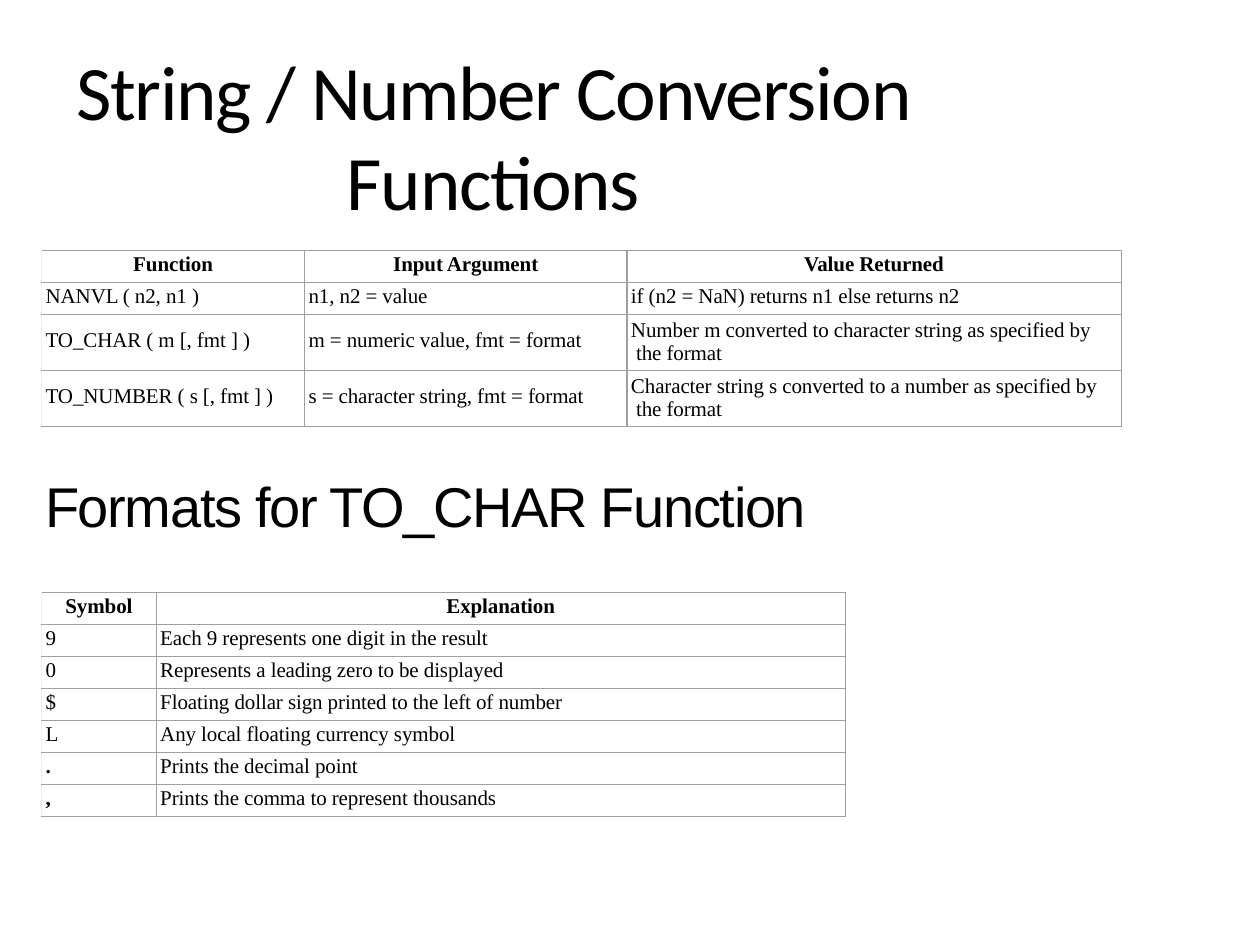
from dataclasses import dataclass

from lxml.etree import SubElement
from pptx import Presentation
from pptx.dml.color import RGBColor
from pptx.enum.text import MSO_ANCHOR, MSO_AUTO_SIZE, PP_ALIGN
from pptx.oxml.ns import qn
from pptx.util import Cm, Pt

BLACK = RGBColor(0x00, 0x00, 0x00)
GREY = RGBColor(0x9F, 0x9F, 0x9F)
PALE = RGBColor(0xEF, 0xEF, 0xEF)

LOW, HIGH = 0.645, 1.13  # row heights in cm for one and two lines of text


@dataclass
class Grid:
    top: float
    cols: list[float]
    rows: list[list[str]]
    bold: str = ""  # symbols set in bold below the header


CALLS = Grid(5.05, [5.3, 6.5, 9.96], [
    ["Function", "Input Argument", "Value Returned"],
    ["NANVL ( n2, n1 )", "n1, n2 = value", "if (n2 = NaN) returns n1 else returns n2"],
    ["TO_CHAR ( m [, fmt ] )", "m = numeric value, fmt = format",
     "Number m converted to character string as specified by\v the format"],
    ["TO_NUMBER ( s [, fmt ] )", "s = character string, fmt = format",
     "Character string s converted to a number as specified by\v the format"],
])
SIGNS = Grid(11.94, [2.31, 13.89], [
    ["Symbol", "Explanation"],
    ["9", "Each 9 represents one digit in the result"],
    ["0", "Represents a leading zero to be displayed"],
    ["$", "Floating dollar sign printed to the left of number"],
    ["L", "Any local floating currency symbol"],
    [".", "Prints the decimal point"],
    [",", "Prints the comma to represent thousands"],
], bold=".,")


def style(para, font: str, size: float, space: int, bold: bool = False) -> None:
    """Set the font, and the letter spacing in hundredths of a point."""
    para.font.name, para.font.size = font, Pt(size)
    para.font.bold, para.font.color.rgb = bold, BLACK
    for run in para.runs:
        run.font.name = font
        run._r.get_or_add_rPr().set("spc", str(space))


def inset(item, left: float, top: float) -> None:
    item.margin_left, item.margin_top = Cm(left), Cm(top)
    item.margin_right = item.margin_bottom = 0


def edge(cell, first: bool) -> None:
    """Draw the four borders, with a paler one on the table's left side."""
    props = cell._tc.get_or_add_tcPr()
    for spot, side in enumerate("LRTB"):
        line = SubElement(props, qn(f"a:ln{side}"), w=str(Pt(0.75)))
        fill = SubElement(line, qn("a:solidFill"))
        tone = PALE if first and side == "L" else GREY
        SubElement(fill, qn("a:srgbClr"), val=str(tone))
        props.insert(spot, line)


def draw(slide, grid: Grid) -> None:
    highs = [HIGH if any("\v" in text for text in row) else LOW for row in grid.rows]
    frame = slide.shapes.add_table(
        len(grid.rows), len(grid.cols), Cm(0.84), Cm(grid.top),
        Cm(sum(grid.cols)), Cm(sum(highs)))
    table = frame.table
    table.first_row = table.horz_banding = False
    for col, width in zip(table.columns, grid.cols):
        col.width = Cm(width)
    for r, (row, high) in enumerate(zip(grid.rows, highs)):
        table.rows[r].height = Cm(high)
        for c, text in enumerate(row):
            cell = table.cell(r, c)
            cell.text = text
            cell.fill.background()
            cell.vertical_anchor = MSO_ANCHOR.TOP
            pad = 0.05 if high == LOW else 0.08 if "\v" in text else 0.28
            inset(cell, 0.08 if r else 0, pad)
            para = cell.text_frame.paragraphs[0]
            para.alignment = PP_ALIGN.LEFT if r else PP_ALIGN.CENTER
            style(para, "Times New Roman", 12, -5, r == 0 or text in list(grid.bold))
            edge(cell, c == 0)


def label(shape, text: str, box: tuple, font: str, size: float, top: float):
    """Place a one-paragraph heading and return its paragraph."""
    shape.left, shape.top, shape.width, shape.height = map(Cm, box)
    frame = shape.text_frame
    frame.text = text
    frame.word_wrap = True
    frame.auto_size = MSO_AUTO_SIZE.SHAPE_TO_FIT_TEXT
    inset(frame, 0, top)
    para = frame.paragraphs[0]
    style(para, font, size, -80)
    return para


def main() -> None:
    deck = Presentation()
    deck.slide_width, deck.slide_height = Cm(25.4), Cm(19.05)
    slide = deck.slides.add_slide(deck.slide_layouts[5])

    # Title
    para = label(slide.shapes.title, "String / Number Conversion Functions",
                 (0.89, 0.79, 18.11, 3.76), "Calibri", 44, 0.13)
    para.alignment = PP_ALIGN.CENTER
    para.line_spacing, para.space_before = Pt(51.6), Pt(3.8)

    # Conversion functions
    draw(slide, CALLS)

    # Format symbols
    box = (0.91, 9.47, 21.7, 1.4)
    text = slide.shapes.add_textbox(*map(Cm, box))
    para = label(text, "Formats for TO_CHAR Function", box, "Arial", 32, 0.03)
    para.space_before = Pt(1.1)
    draw(slide, SIGNS)

    deck.save("out.pptx")


if __name__ == "__main__":
    main()
